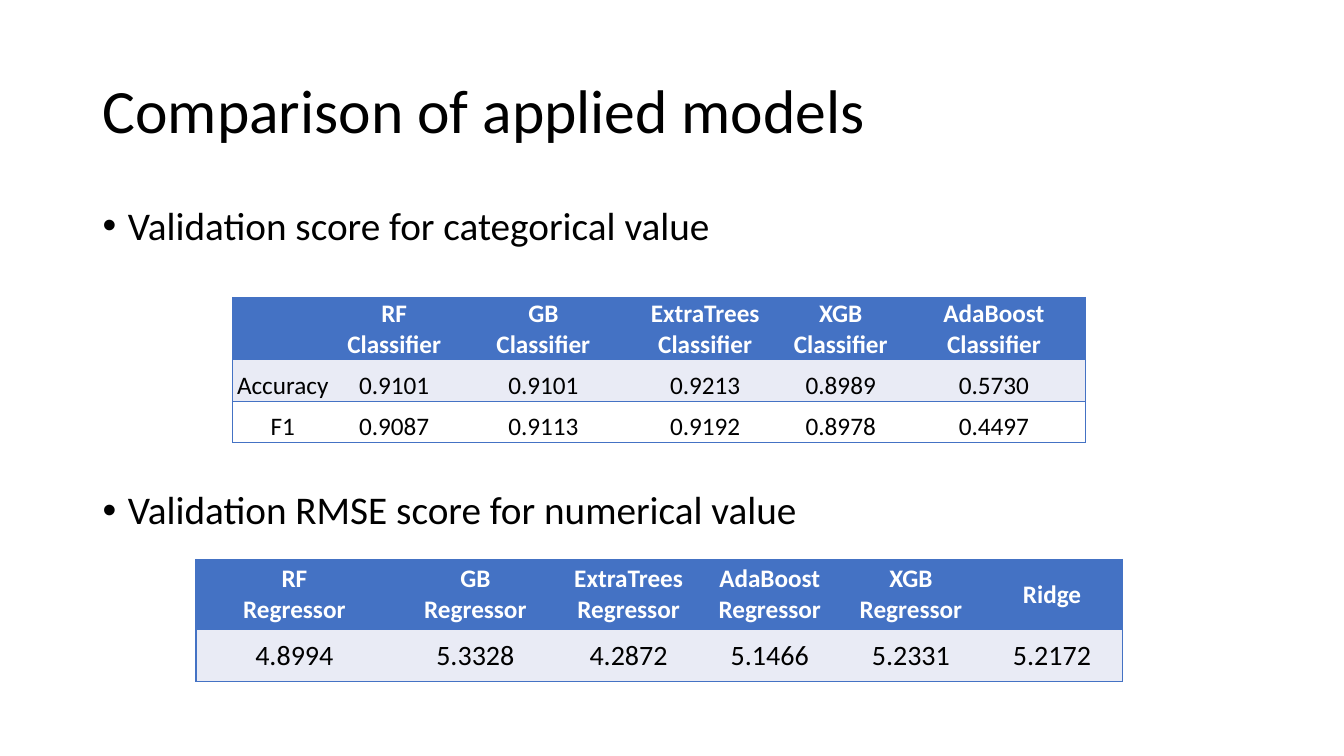
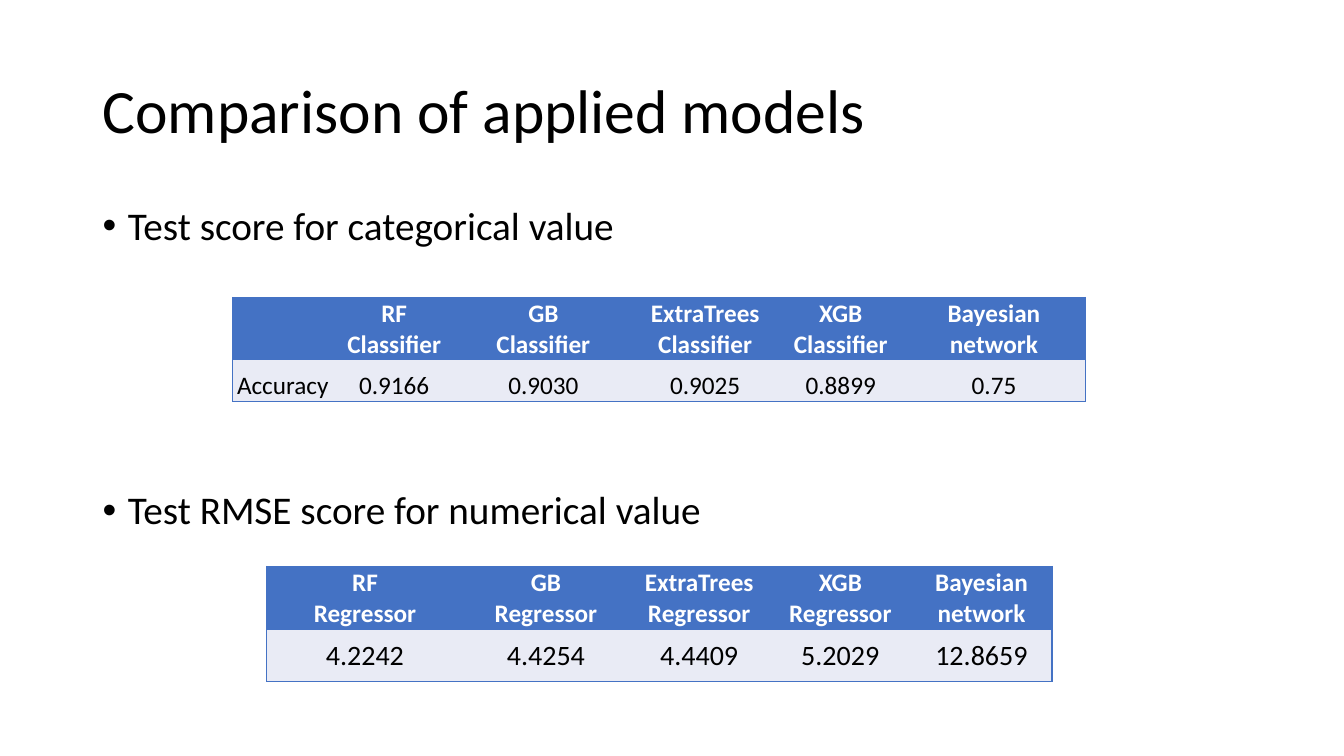
from dataclasses import dataclass

from lxml.etree import SubElement
from pptx import Presentation
from pptx.dml.color import RGBColor
from pptx.enum.text import MSO_ANCHOR, PP_ALIGN
from pptx.oxml.ns import qn
from pptx.util import Inches, Pt


@dataclass(frozen=True)
class Theme:
    font: str = "Calibri"
    ink: str = "000000"
    white: str = "FFFFFF"
    accent: str = "4472C4"
    band: str = "E9EBF5"
    title_size: int = 44
    bullet_size: int = 28
    cell_size: int = 18
    score_size: int = 20


THEME = Theme()
WIDTH, HEIGHT = 13.33, 7.5
MARGIN, TEXT_WIDTH = 0.92, 11.5
TABLE_CENTER = 6.54
CLASSIFIER_TOP, REGRESSOR_BOTTOM = 2.95, 6.76
CLASSIFIER_COLS = [0.99, 1.22, 1.74, 1.47, 1.22, 1.82]
REGRESSOR_COLS = [1.95, 1.64, 1.4, 1.4, 1.4, 1.4]
HEADER_ROW, CLASSIFIER_ROW, REGRESSOR_ROW = 0.62, 0.41, 0.52

TITLE = "Comparison of applied models"
SLIDES = [
    {
        "categorical": "Validation score for categorical value",
        "classifiers": [
            ["", "RF\nClassifier", "GB\nClassifier", "ExtraTrees\nClassifier",
             "XGB\nClassifier", "AdaBoost\nClassifier"],
            ["Accuracy", "0.9101", "0.9101", "0.9213", "0.8989", "0.5730"],
            ["F1", "0.9087", "0.9113", "0.9192", "0.8978", "0.4497"],
        ],
        "numerical": "Validation RMSE score for numerical value",
        "regressors": [
            ["RF\nRegressor", "GB\nRegressor", "ExtraTrees\nRegressor",
             "AdaBoost\nRegressor", "XGB\nRegressor", "Ridge"],
            ["4.8994", "5.3328", "4.2872", "5.1466", "5.2331", "5.2172"],
        ],
        "regressor_header": 0.69,
    },
    {
        "categorical": "Test score for categorical value",
        "classifiers": [
            ["", "RF\nClassifier", "GB\nClassifier", "ExtraTrees\nClassifier",
             "XGB\nClassifier", "Bayesian network"],
            ["Accuracy", "0.9166", "0.9030", "0.9025", "0.8899", "0.75"],
        ],
        "numerical": "Test RMSE score for numerical value",
        "regressors": [
            ["RF\nRegressor", "GB\nRegressor", "ExtraTrees\nRegressor",
             "XGB\nRegressor", "Bayesian network"],
            ["4.2242", "4.4254", "4.4409", "5.2029", "12.8659"],
        ],
        "regressor_header": HEADER_ROW,
    },
]


def style_runs(p, size, color, bold=False):
    for r in p.runs:
        r.font.name = THEME.font
        r.font.size = Pt(size)
        r.font.bold = bold
        r.font.color.rgb = RGBColor.from_string(color)


def add_text(slide, text, top, height, size, bullet=False):
    box = slide.shapes.add_textbox(
        Inches(MARGIN), Inches(top), Inches(TEXT_WIDTH), Inches(height))
    tf = box.text_frame
    tf.word_wrap = True
    tf.vertical_anchor = MSO_ANCHOR.TOP if bullet else MSO_ANCHOR.MIDDLE
    p = tf.paragraphs[0]
    p.text = text
    p.line_spacing = 0.9
    if bullet:
        pPr = p._p.get_or_add_pPr()
        pPr.set("marL", str(Inches(0.25)))
        pPr.set("indent", str(Inches(-0.25)))
        SubElement(pPr, qn("a:buFont")).set("typeface", "Arial")
        SubElement(pPr, qn("a:buChar")).set("char", "•")
    style_runs(p, size, THEME.ink)


def set_borders(cell, edges):
    """Rule the given edges (letters of LRTB) and clear the others."""
    tcPr = cell._tc.get_or_add_tcPr()
    for edge in "LRTB":
        ln = SubElement(tcPr, qn(f"a:ln{edge}"))
        if edge in edges:
            ln.set("w", str(Pt(1)))
            fill = SubElement(ln, qn("a:solidFill"))
            SubElement(fill, qn("a:srgbClr")).set("val", THEME.accent)
        else:
            SubElement(ln, qn("a:noFill"))


def format_cell(cell, text, row, edges, size, anchor):
    header = row == 0
    set_borders(cell, edges)
    cell.fill.solid()
    fill = THEME.accent if header else THEME.band if row % 2 else THEME.white
    cell.fill.fore_color.rgb = RGBColor.from_string(fill)
    cell.margin_left = cell.margin_right = cell.margin_top = Inches(0.01)
    cell.margin_bottom = 0
    cell.vertical_anchor = anchor
    cell.text_frame.text = text
    for p in cell.text_frame.paragraphs:
        p.alignment = PP_ALIGN.CENTER
        style_runs(p, THEME.cell_size if header else size,
                   THEME.white if header else THEME.ink, header)


def add_scores(slide, rows, top, col_widths, row_heights, size, anchor):
    width = sum(col_widths)
    table = slide.shapes.add_table(
        len(rows), len(col_widths), Inches(TABLE_CENTER - width / 2),
        Inches(top), Inches(width), Inches(sum(row_heights))).table
    for col, col_width in zip(table.columns, col_widths):
        col.width = Inches(col_width)
    for i, (values, height) in enumerate(zip(rows, row_heights)):
        table.rows[i].height = Inches(height)
        for j, text in enumerate(values):
            edges = "TB" + "L" * (j == 0) + "R" * (j == len(values) - 1)
            format_cell(table.cell(i, j), text, i, edges, size, anchor)


def add_comparison(prs, content):
    slide = prs.slides.add_slide(prs.slide_layouts[6])
    add_text(slide, TITLE, 0.4, 1.45, THEME.title_size)

    add_text(slide, content["categorical"], 2, 0.6, THEME.bullet_size, True)
    rows = content["classifiers"]
    heights = [HEADER_ROW] + [CLASSIFIER_ROW] * (len(rows) - 1)
    add_scores(slide, rows, CLASSIFIER_TOP, CLASSIFIER_COLS, heights,
               THEME.cell_size, MSO_ANCHOR.BOTTOM)

    add_text(slide, content["numerical"], 4.82, 0.6, THEME.bullet_size, True)
    rows = content["regressors"]
    heights = [content["regressor_header"], REGRESSOR_ROW]
    add_scores(slide, rows, REGRESSOR_BOTTOM - sum(heights),
               REGRESSOR_COLS[:len(rows[0])], heights,
               THEME.score_size, MSO_ANCHOR.MIDDLE)


def main():
    prs = Presentation()
    prs.slide_width, prs.slide_height = Inches(WIDTH), Inches(HEIGHT)
    for content in SLIDES:
        add_comparison(prs, content)
    prs.save("out.pptx")


if __name__ == "__main__":
    main()
